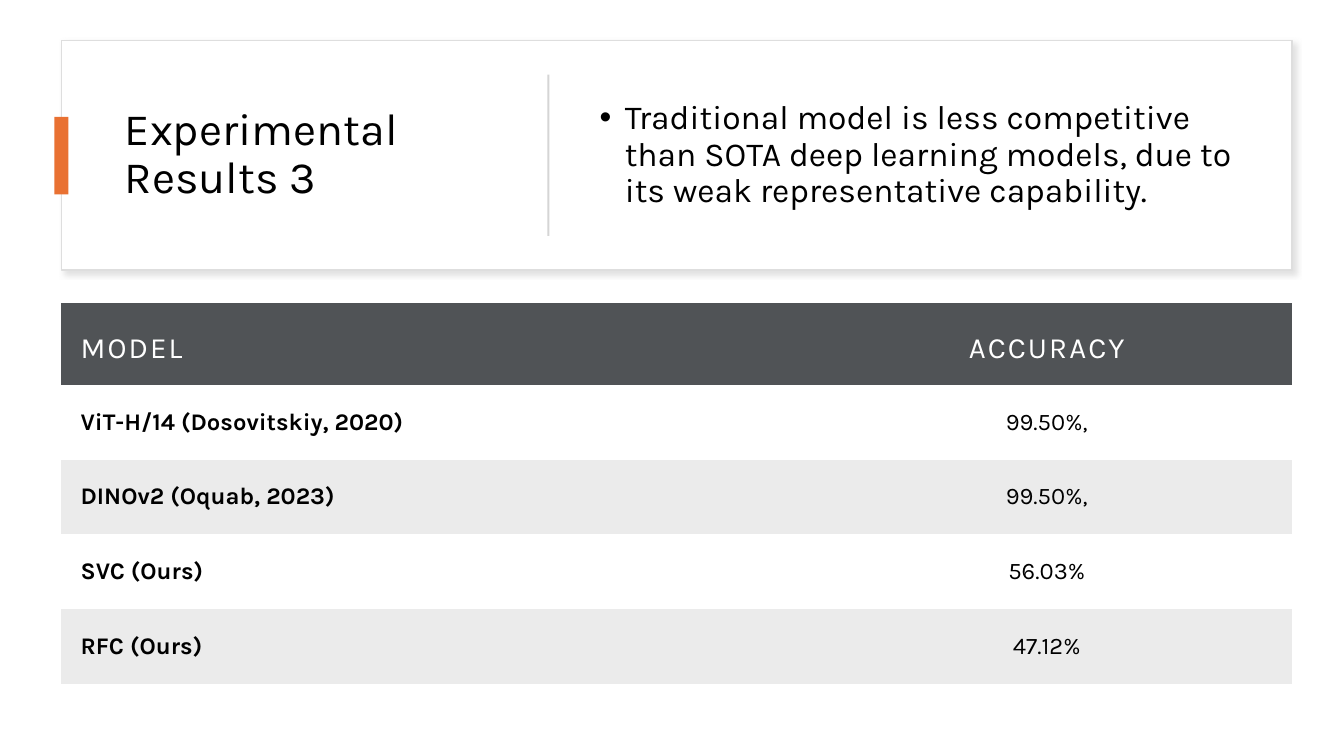
"""Build the slide comparing model accuracies."""
import pptx
import pptx.dml.color
import pptx.enum.shapes
import pptx.enum.text
import pptx.oxml
import pptx.oxml.ns
import pptx.util

Pt = pptx.util.Pt
RGBColor = pptx.dml.color.RGBColor
ALIGN = pptx.enum.text.PP_ALIGN
ANCHOR = pptx.enum.text.MSO_ANCHOR

TITLE = "Experimental Results 3"
FINDING = ("Traditional model is less competitive than SOTA deep learning models, "
           "due to its weak representative capability.")
RESULTS = [
    ("MODEL", "ACCURACY"),
    ("ViT-H/14 (Dosovitskiy, 2020)", "99.50%,"),
    ("DINOv2 (Oquab, 2023)", "99.50%,"),
    ("SVC (Ours)", "56.03%"),
    ("RFC (Ours)", "47.12%"),
]

FONT = "Karla"
BLACK = RGBColor(0x00, 0x00, 0x00)
WHITE = RGBColor(0xFF, 0xFF, 0xFF)
CARD_LINE = RGBColor(0xDE, 0xDE, 0xDE)
ACCENT = RGBColor(0xE9, 0x71, 0x32)
DIVIDER = RGBColor(0xD5, 0xD5, 0xD5)
HEADER = RGBColor(0x50, 0x53, 0x56)
STRIPE = RGBColor(0xEB, 0xEB, 0xEB)

LEFT, WIDTH = 43.9, 879.1
CARD_TOP, CARD_HEIGHT = 28.8, 164.2
TEXT_TOP, TEXT_HEIGHT = 46.1, 129.6
TABLE_TOP, HEADER_HEIGHT, ROW_HEIGHT = 216.5, 58.4, 53.4
MODEL_WIDTH = 528.5
CELL_MARGIN = 13.7
NO_STYLE = "{2D5ABB26-0587-4C30-8999-92F81FD0307C}"
NAMESPACE = pptx.oxml.ns.nsdecls("a")
CARD_SHADOW = (
    f'<a:effectLst {NAMESPACE}><a:outerShdw blurRad="50800" dist="38100" dir="2700000" '
    'algn="tl" rotWithShape="0"><a:srgbClr val="C5C5C5"><a:alpha val="50000"/>'
    '</a:srgbClr></a:outerShdw></a:effectLst>')


def add_block(page, left, top, width, height, color):
    block = page.shapes.add_shape(pptx.enum.shapes.MSO_SHAPE.RECTANGLE,
                                  Pt(left), Pt(top), Pt(width), Pt(height))
    block.shadow.inherit = False
    block.fill.solid()
    block.fill.fore_color.rgb = color
    block.line.fill.background()
    return block


def set_text(para, text, size, color, spacing):
    para.text = text
    para.font.name = FONT
    para.font.size = Pt(size)
    para.font.color.rgb = color
    para.line_spacing = spacing


def add_text(page, left, width, text, size):
    box = page.shapes.add_textbox(Pt(left), Pt(TEXT_TOP), Pt(width), Pt(TEXT_HEIGHT))
    box.text_frame.word_wrap = True
    box.text_frame.vertical_anchor = ANCHOR.MIDDLE
    para = box.text_frame.paragraphs[0]
    set_text(para, text, size, BLACK, 0.9)
    return para


def add_card(page):
    card = add_block(page, LEFT, CARD_TOP, WIDTH, CARD_HEIGHT, WHITE)
    card.line.color.rgb = CARD_LINE
    card.line.width = Pt(1)
    properties = card._element.spPr
    properties.remove(properties.find(pptx.oxml.ns.qn("a:effectLst")))
    properties.append(pptx.oxml.parse_xml(CARD_SHADOW))
    add_text(page, 82.1, 280.1, TITLE, 32)
    add_block(page, 38.9, 83.5, 10.1, 55.4, ACCENT)
    add_block(page, 391, 53.3, 1.4, 115.2, DIVIDER)
    finding = add_text(page, 421.2, 472.3, FINDING, 24)
    finding.space_before = Pt(10)
    settings = finding._p.get_or_add_pPr()
    settings.set("marL", str(Pt(18)))
    settings.set("indent", str(Pt(-18)))
    for bullet in ('buFont {} typeface="Arial"', 'buChar {} char="•"'):
        element = pptx.oxml.parse_xml(f"<a:{bullet.format(NAMESPACE)}/>")
        settings.insert_element_before(element, "a:tabLst", "a:defRPr", "a:extLst")


def fill_cell(cell, text, row, column):
    is_header = row == 0
    cell.margin_left = cell.margin_right = Pt(CELL_MARGIN)
    cell.margin_top = cell.margin_bottom = Pt(CELL_MARGIN)
    cell.vertical_anchor = ANCHOR.BOTTOM if is_header else ANCHOR.TOP
    cell.fill.solid()
    cell.fill.fore_color.rgb = HEADER if is_header else (WHITE, STRIPE)[(row - 1) % 2]
    para = cell.text_frame.paragraphs[0]
    set_text(para, text, 21 if is_header else 17, WHITE if is_header else BLACK, 1.15)
    para.font.bold = not is_header and column == 0
    para.alignment = ALIGN.LEFT if column == 0 else ALIGN.CENTER
    if is_header:
        para.runs[0]._r.get_or_add_rPr().set("spc", "150")


def add_results(page):
    heights = [HEADER_HEIGHT] + [ROW_HEIGHT] * (len(RESULTS) - 1)
    frame = page.shapes.add_table(len(RESULTS), 2, Pt(LEFT), Pt(TABLE_TOP),
                                  Pt(WIDTH), Pt(sum(heights)))
    table = frame.table
    table.first_row = table.horz_banding = False
    table._tbl.tblPr.find(pptx.oxml.ns.qn("a:tableStyleId")).text = NO_STYLE
    for column, width in enumerate((MODEL_WIDTH, WIDTH - MODEL_WIDTH)):
        table.columns[column].width = Pt(width)
    for row, values in enumerate(RESULTS):
        table.rows[row].height = Pt(heights[row])
        for column, text in enumerate(values):
            fill_cell(table.cell(row, column), text, row, column)


def main():
    deck = pptx.Presentation()
    deck.slide_width, deck.slide_height = Pt(960), Pt(540)
    page = deck.slides.add_slide(deck.slide_layouts[6])
    add_card(page)
    add_results(page)
    deck.save("out.pptx")


if __name__ == "__main__":
    main()
